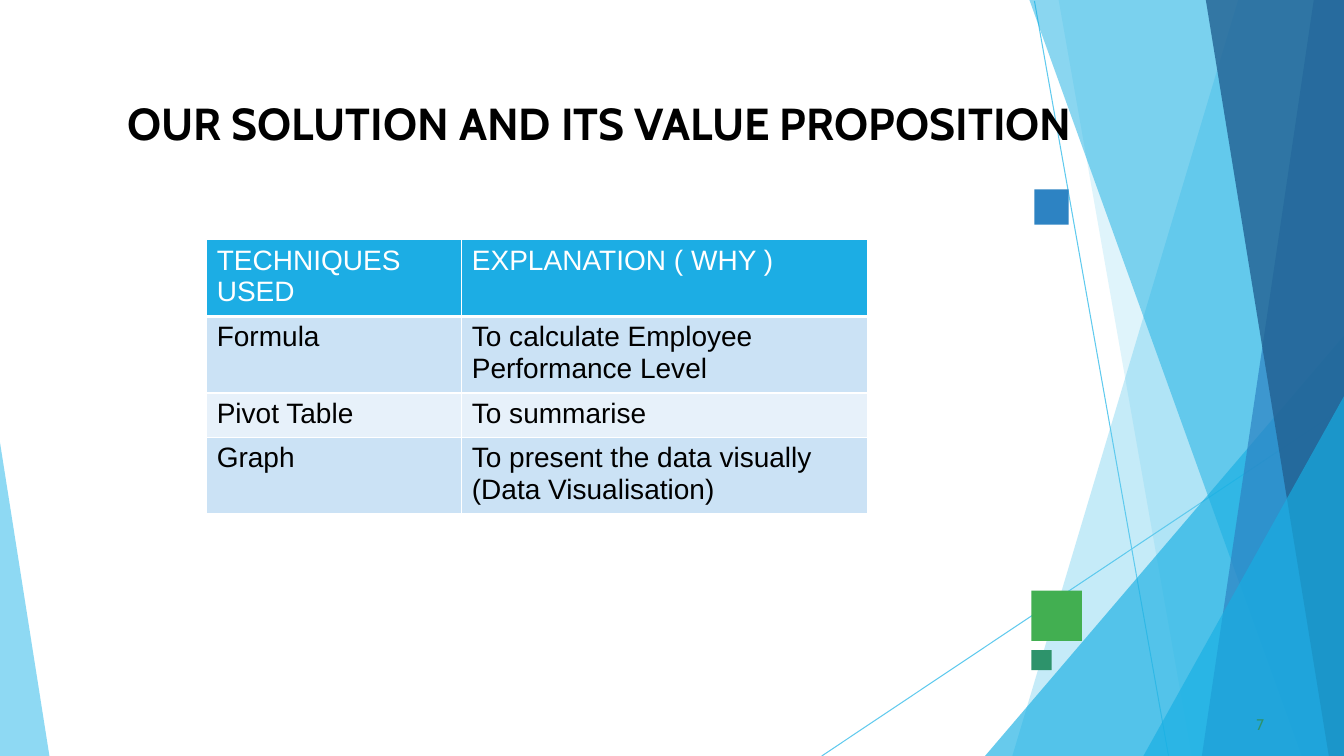
from lxml import etree
from pptx import Presentation
from pptx import util as u
from pptx.dml.color import RGBColor
from pptx.enum import shapes, text
from pptx.oxml import ns

EDGE, FOOT = 13.33, 7.5
RAYS = [((10.26, 0.01), (11.59, FOOT)), ((EDGE, 4.04), (8.15, FOOT))]
FACETS = [
    ([(EDGE, 0), (12.28, 0), (10.04, FOOT), (EDGE, FOOT)], "5FCAEE", 36),
    ([(EDGE, 0), (10.5, 0), (11.82, FOOT), (EDGE, FOOT)], "5FCAEE", 20),
    ([(EDGE, 3.33), (9.77, FOOT), (EDGE, FOOT)], "17AFE3", 65),
    ([(EDGE, 0), (10.21, 0), (12.91, FOOT), (EDGE, FOOT)], "17AFE3", 50),
    ([(EDGE, 0), (13.03, 0), (11.92, FOOT), (EDGE, FOOT)], "2D83C3", 70),
    ([(EDGE, 0), (11.96, 0), (13.18, FOOT), (EDGE, FOOT)], "226192", 80),
    ([(EDGE, 3.93), (11.34, FOOT), (EDGE, FOOT)], "17AFE3", 65),
    ([(0, 4.39), (0, FOOT), (0.49, FOOT)], "5FCAEE", 70),
]
BLOCKS = [
    ((10.23, 5.86, 0.5, 0.5), "42AF51"),
    ((10.26, 1.88, 0.34, 0.35), "2D83C3"),
    ((10.23, 6.45, 0.2, 0.2), "2D936B"),
]
ROWS = [
    ("TECHNIQUES USED", "EXPLANATION ( WHY )"),
    ("Formula", "To calculate Employee Performance Level"),
    ("Pivot Table", "To summarise"),
    ("Graph", "To present the data visually (Data Visualisation)"),
]
WIDTHS = [2.53, 4.03]
HEIGHTS = [0.76, 0.76, 0.44, 0.76]
FILLS = ["1CADE4", "CBE2F5", "E7F1FA", "CBE2F5"]


def inch(vals):
    """Turn numbers into lengths."""
    return [u.Inches(v) for v in vals]


def color(hue):
    """Turn a hex string into a colour."""
    return RGBColor.from_string(hue)


def paint(shape, hue, alpha=100):
    """Give a shape a plain fill without line or shadow."""
    shape.shadow.inherit = False
    shape.line.fill.background()
    shape.fill.solid()
    shape.fill.fore_color.rgb = color(hue)
    if alpha < 100:
        tint = shape.element.spPr.find(".//" + ns.qn("a:srgbClr"))
        etree.SubElement(tint, ns.qn("a:alpha"), val=str(alpha * 1000))


def ray(slide, start, end):
    """Draw a thin decorative line."""
    line = slide.shapes.add_connector(
        shapes.MSO_CONNECTOR.STRAIGHT, *inch(start + end))
    line.line.color.rgb = color("5FCAEE")
    line.line.width = u.Pt(0.75)
    etree.SubElement(line.element.spPr, ns.qn("a:effectLst"))


def facet(slide, points, hue, alpha):
    """Draw a translucent polygon."""
    first, *rest = [inch(p) for p in points]
    form = slide.shapes.build_freeform(*first)
    form.add_line_segments(rest, close=True)
    paint(form.convert_to_shape(), hue, alpha)


def block(slide, box, hue):
    """Draw a solid accent square."""
    paint(slide.shapes.add_shape(
        shapes.MSO_SHAPE.RECTANGLE, *inch(box)), hue)


def style(font, name, size, hue, bold=False):
    """Set the look of a font."""
    font.name, font.size, font.bold = name, u.Pt(size), bold
    font.color.rgb = color(hue)


def write(shape, box, words, size, hue, align, bold=False):
    """Place a text shape and fill it with one paragraph."""
    shape.left, shape.top, shape.width, shape.height = inch(box)
    frame = shape.text_frame
    frame.word_wrap = True
    frame.auto_size = text.MSO_AUTO_SIZE.NONE
    frame.vertical_anchor = text.MSO_ANCHOR.TOP
    frame.margin_left = frame.margin_right = frame.margin_bottom = 0
    frame.margin_top = u.Inches(0.01)
    para = frame.paragraphs[0]
    para.text, para.alignment = words, align
    style(para.font, "Cabin", size, hue, bold)


def border(cell, sides):
    """Set white cell borders, given widths by side."""
    props = cell._tc.get_or_add_tcPr()
    for spot, (side, width) in enumerate(sides.items()):
        line = etree.Element(ns.qn("a:ln" + side), w=str(u.Pt(width)))
        fill = etree.SubElement(line, ns.qn("a:solidFill"))
        etree.SubElement(fill, ns.qn("a:srgbClr"), val="FFFFFF")
        props.insert(spot, line)


def grid(slide):
    """Add the table of techniques."""
    box = inch((2.05, 2.38, sum(WIDTHS), sum(HEIGHTS)))
    table = slide.shapes.add_table(len(ROWS), len(WIDTHS), *box).table
    table.horz_banding = False
    for col, width in zip(table.columns, WIDTHS):
        col.width = u.Inches(width)
    for r, words in enumerate(ROWS):
        table.rows[r].height = u.Inches(HEIGHTS[r])
        for c, word in enumerate(words):
            cell = table.cell(r, c)
            cell.text = word
            cell.fill.solid()
            cell.fill.fore_color.rgb = color(FILLS[r])
            style(cell.text_frame.paragraphs[0].font, "Arial", 20,
                  "000000" if r else "FFFFFF")
            border(cell, {"L": 1, "R": 1, "T": 3 if r == 1 else 1,
                          "B": 1 if r else 3})


def main():
    """Build and save the slide."""
    deck = Presentation()
    deck.slide_width, deck.slide_height = inch((EDGE, FOOT))
    slide = deck.slides.add_slide(deck.slide_layouts[5])
    for start, end in RAYS:
        ray(slide, start, end)
    for points, hue, alpha in FACETS:
        facet(slide, points, hue, alpha)
    for box, hue in BLOCKS:
        block(slide, box, hue)
    title = slide.shapes.title
    write(title, (0.61, 0.94, 10.68, 0.55),
          "OUR SOLUTION AND ITS VALUE PROPOSITION", 32, "000000",
          text.PP_ALIGN.CENTER, True)
    slide.shapes.element.append(title.element)
    box = (12.42, 7.08, 0.17, 0.21)
    number = slide.shapes.add_textbox(*inch(box))
    write(number, box, "7", 11, "2D936B", text.PP_ALIGN.LEFT)
    number.text_frame.margin_left = u.Inches(0.04)
    grid(slide)
    deck.save("out.pptx")


if __name__ == "__main__":
    main()
